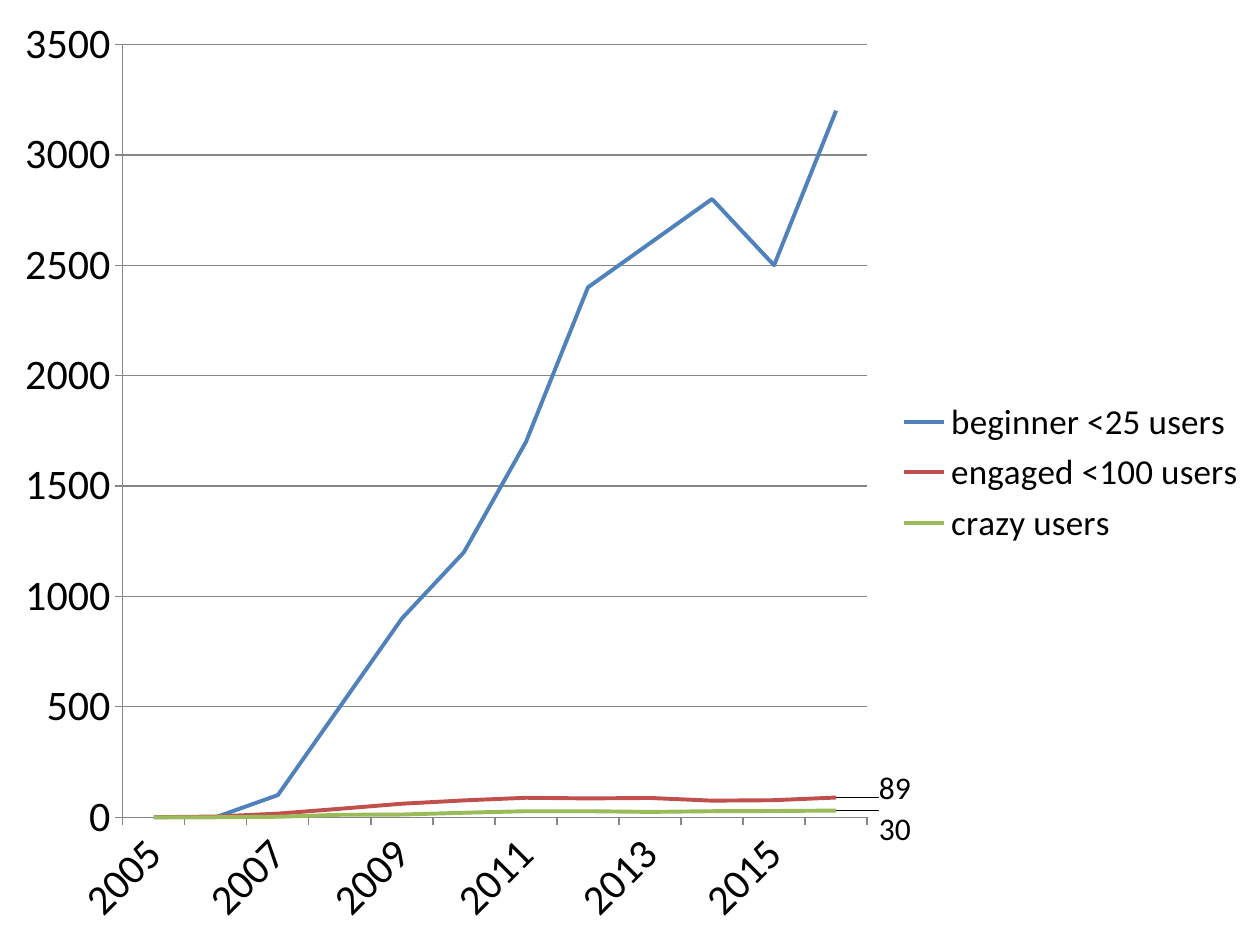
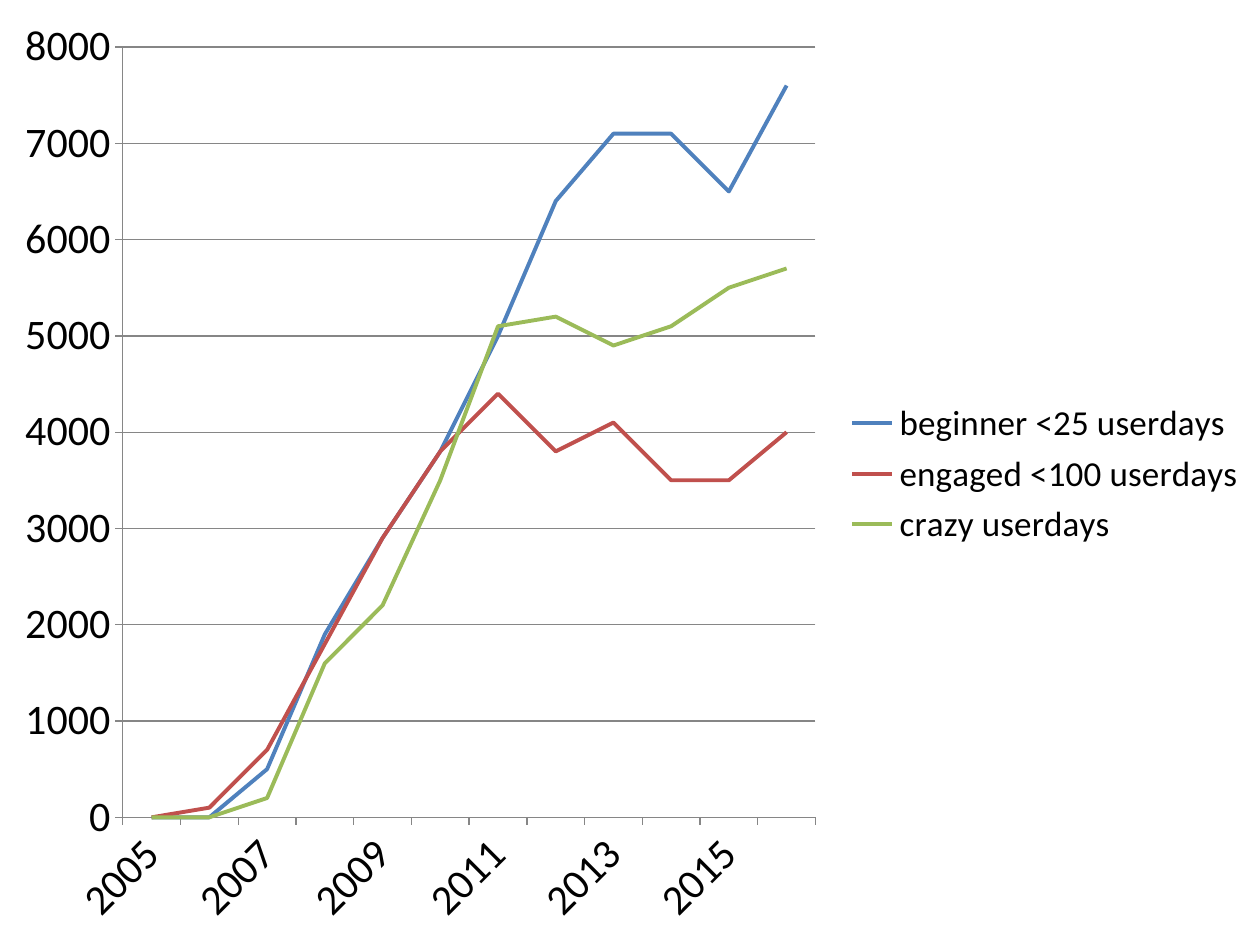
from dataclasses import dataclass, field

from lxml.etree import SubElement
from pptx import Presentation
from pptx.chart.chart import Chart
from pptx.chart.data import CategoryChartData
from pptx.chart.series import LineSeries
from pptx.dml.color import RGBColor
from pptx.enum.chart import (XL_CHART_TYPE, XL_LABEL_POSITION, XL_LEGEND_POSITION,
                             XL_MARKER_STYLE, XL_TICK_MARK)
from pptx.oxml.ns import qn
from pptx.util import Length, Pt


@dataclass(frozen=True)
class Theme:
    font: str = "Calibri"
    text: RGBColor = RGBColor(0x00, 0x00, 0x00)
    axis: RGBColor = RGBColor(0x86, 0x86, 0x86)
    series: tuple[RGBColor, ...] = (RGBColor(0x4F, 0x81, 0xBD), RGBColor(0xC0, 0x50, 0x4D),
                                    RGBColor(0x9B, 0xBB, 0x59))
    axis_size: Length = Pt(24)
    legend_size: Length = Pt(20)
    label_size: Length = Pt(18)
    series_width: Length = Pt(2.25)
    axis_width: Length = Pt(0.75)


@dataclass(frozen=True)
class UserGroup:
    name: str
    values: tuple[int, ...]
    label_shift: tuple[float, float] | None = None


@dataclass(frozen=True)
class UsageChart:
    unit: str
    groups: tuple[UserGroup, ...]
    top: Length = field(default=Pt(0))


THEME = Theme()
SLIDE_WIDTH, SLIDE_HEIGHT = Pt(720), Pt(540)
YEARS = [str(year) for year in range(2005, 2017)]

USAGE_CHARTS = (
    UsageChart("users", (
        UserGroup("beginner <25",
                  (0, 0, 100, 500, 900, 1200, 1700, 2400, 2600, 2800, 2500, 3200)),
        UserGroup("engaged <100", (0, 3, 16, 38, 61, 76, 88, 85, 87, 75, 77, 89), (0.03, -0.01)),
        UserGroup("crazy", (0, 0, 2, 11, 12, 20, 27, 27, 24, 27, 28, 30), (0.03, 0.02)),
    )),
    UsageChart("userdays", (
        UserGroup("beginner <25",
                  (0, 0, 500, 1900, 2900, 3800, 5000, 6400, 7100, 7100, 6500, 7600)),
        UserGroup("engaged <100",
                  (0, 100, 700, 1800, 2900, 3800, 4400, 3800, 4100, 3500, 3500, 4000)),
        UserGroup("crazy", (0, 0, 200, 1600, 2200, 3500, 5100, 5200, 4900, 5100, 5500, 5700)),
    ), top=Pt(1.5)),
)


def apply_format(target: object, values: dict[str, object]) -> None:
    for name, value in values.items():
        setattr(target, name, value)


def format_font(font: object, size: Length) -> None:
    apply_format(font, {"name": THEME.font, "size": size})
    font.color.rgb = THEME.text


def format_line(line: object, color: RGBColor, width: Length) -> None:
    line.color.rgb = color
    line.width = width


def label_last_point(series: LineSeries, shift: tuple[float, float]) -> None:
    """Show the last value, moved by a share of the chart's width and height."""
    label = series.points[len(YEARS) - 1].data_label
    label.position = XL_LABEL_POSITION.RIGHT
    format_font(label.font, THEME.label_size)
    series.data_labels.show_value = False
    label_element = series._element.find(".//" + qn("c:dLbl"))
    layout = SubElement(label_element, qn("c:layout"))
    label_element.insert(1, layout)
    manual = SubElement(layout, qn("c:manualLayout"))
    for axis, offset in zip("xy", shift):
        SubElement(manual, qn(f"c:{axis}")).set("val", str(offset))


def format_axes(chart: Chart) -> None:
    for axis in (chart.category_axis, chart.value_axis):
        apply_format(axis, {"major_tick_mark": XL_TICK_MARK.OUTSIDE,
                            "minor_tick_mark": XL_TICK_MARK.NONE})
        format_font(axis.tick_labels.font, THEME.axis_size)
        format_line(axis.format.line, THEME.axis, THEME.axis_width)
    chart.value_axis.has_major_gridlines = True
    format_line(chart.value_axis.major_gridlines.format.line, THEME.axis, THEME.axis_width)


def add_usage_slide(presentation: Presentation, usage: UsageChart) -> None:
    slide = presentation.slides.add_slide(presentation.slide_layouts.get_by_name("Blank"))
    data = CategoryChartData(number_format="General")
    data.categories = YEARS
    for group in usage.groups:
        data.add_series(f"{group.name} {usage.unit}", group.values)
    chart = slide.shapes.add_chart(XL_CHART_TYPE.LINE, Pt(0), usage.top, SLIDE_WIDTH,
                                   SLIDE_HEIGHT - usage.top, data).chart
    apply_format(chart, {"has_title": False, "has_legend": True})
    apply_format(chart.legend, {"position": XL_LEGEND_POSITION.RIGHT,
                                "include_in_layout": False})
    format_font(chart.legend.font, THEME.legend_size)
    format_axes(chart)
    chart.plots[0].vary_by_categories = False
    for series, group, color in zip(chart.plots[0].series, usage.groups, THEME.series):
        series.smooth = False
        series.marker.style = XL_MARKER_STYLE.NONE
        format_line(series.format.line, color, THEME.series_width)
        if group.label_shift:
            label_last_point(series, group.label_shift)


def main() -> None:
    presentation = Presentation()
    apply_format(presentation, {"slide_width": SLIDE_WIDTH, "slide_height": SLIDE_HEIGHT})
    for usage in USAGE_CHARTS:
        add_usage_slide(presentation, usage)
    presentation.save("out.pptx")


if __name__ == "__main__":
    main()
